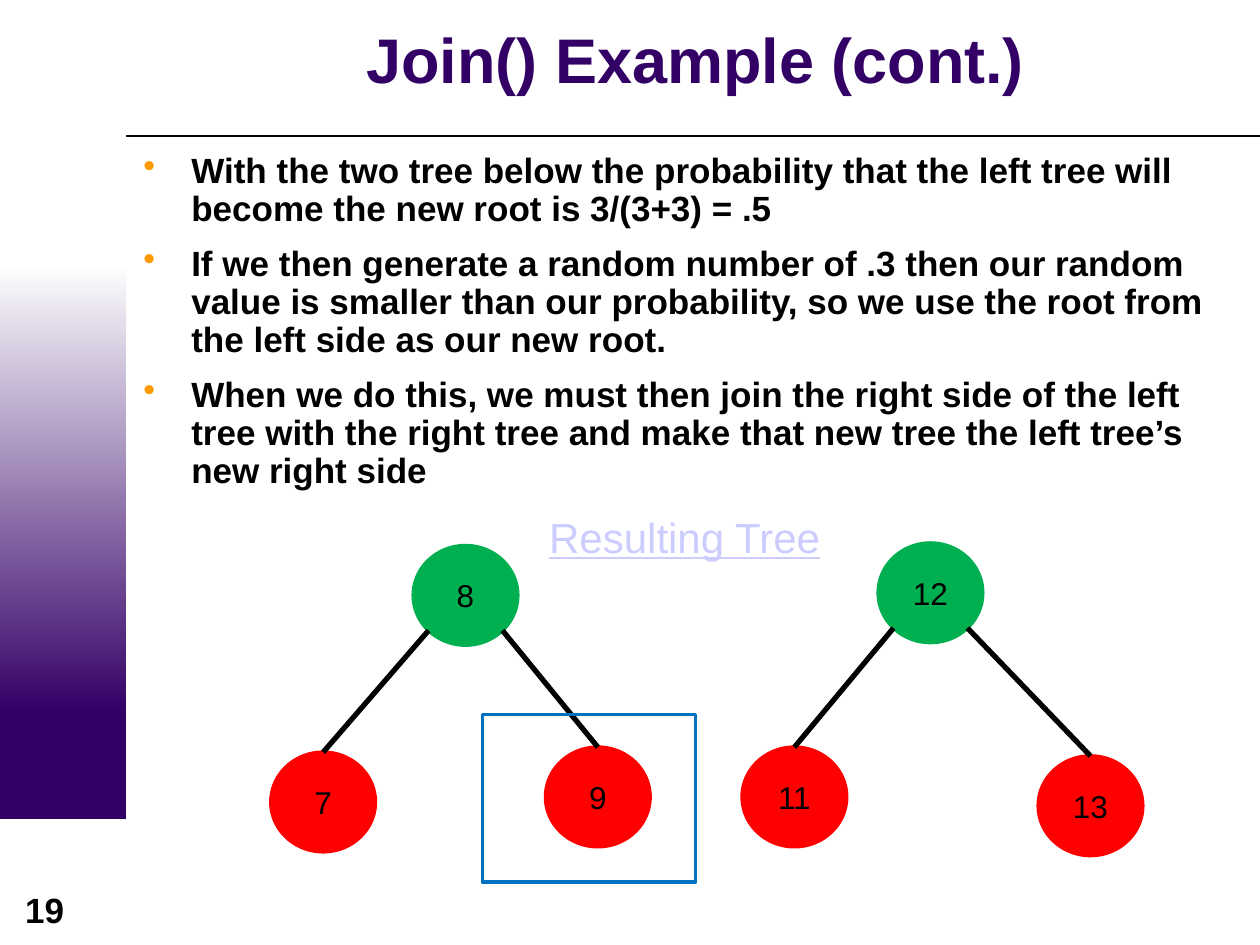
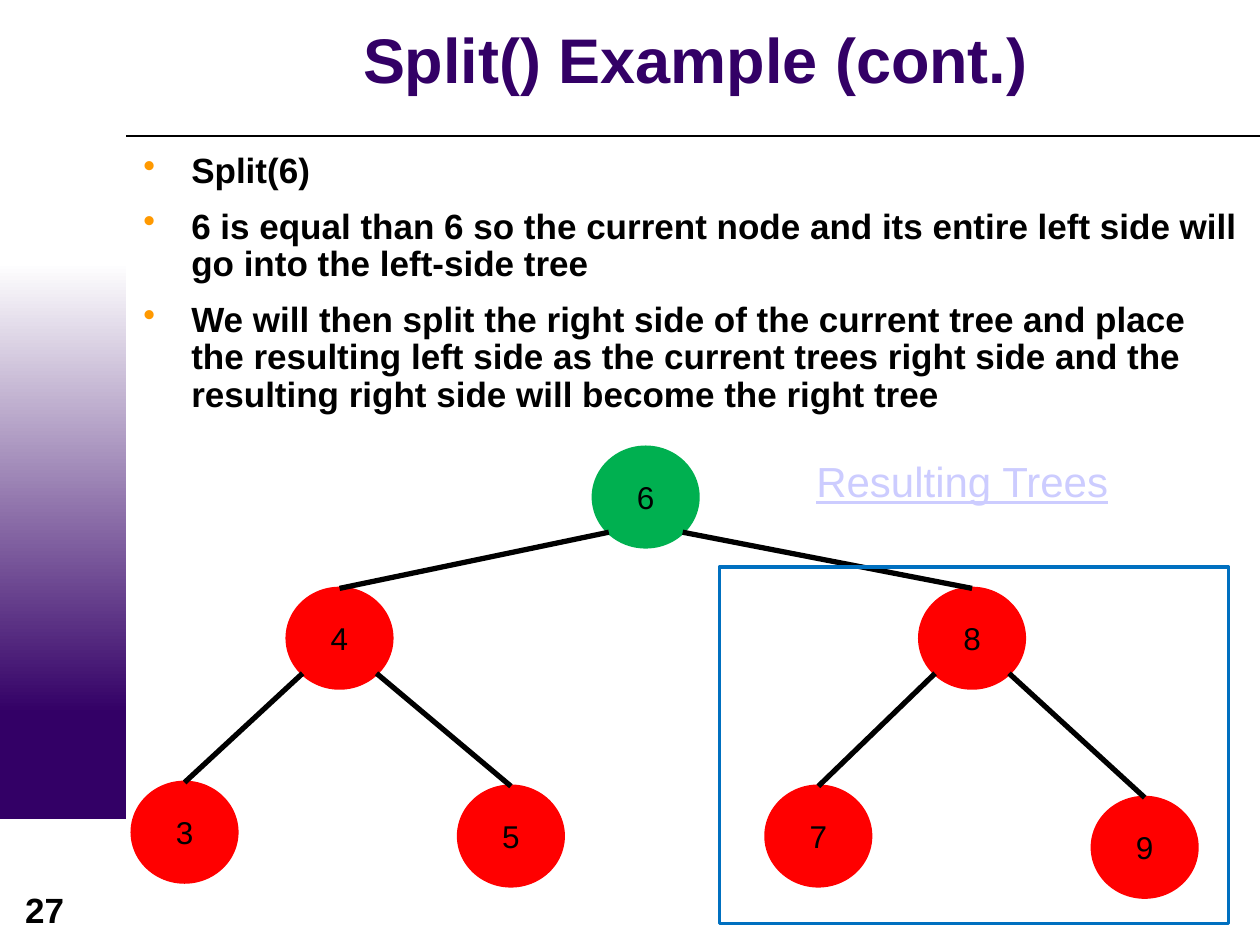
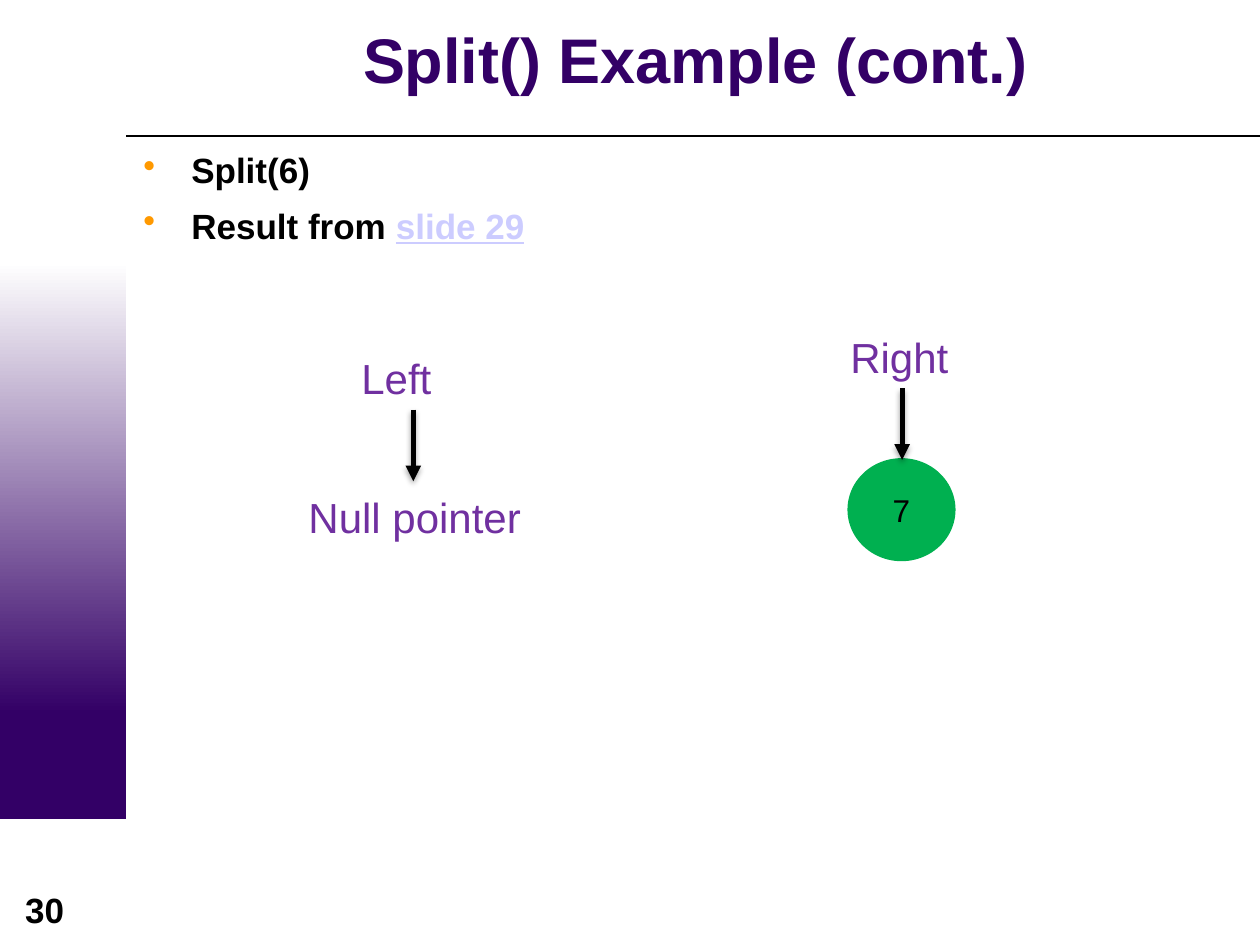
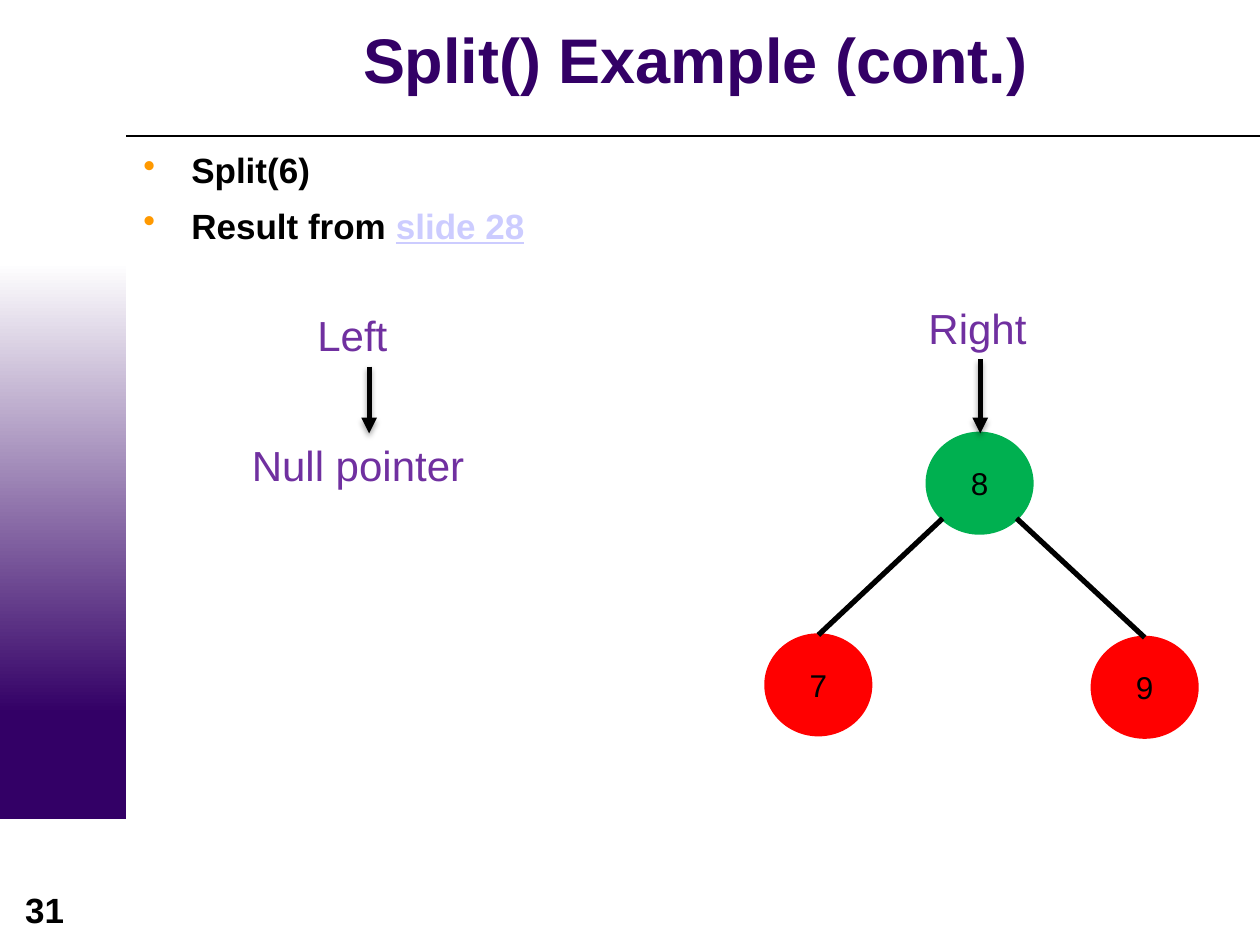
from dataclasses import dataclass
from lxml.etree import SubElement
from pptx import Presentation
from pptx.dml.color import RGBColor as RGB
from pptx.enum.shapes import MSO_CONNECTOR as CONN, MSO_SHAPE as SHAPE
from pptx.enum.text import MSO_ANCHOR as ANCHOR, MSO_AUTO_SIZE as FIT, PP_ALIGN as ALIGN
from pptx.oxml.ns import qn
from pptx.util import Inches, Pt

COLS, ROWS = 10, 7.5
NODE_W, NODE_H = 0.83, 0.79
CORNER = (1 - 0.5 ** 0.5) / 2  # share of a node's box outside its diagonal points
LABEL_W, LABEL_H = 1.02, 0.5


@dataclass(frozen=True)
class Theme:
    font: str = "Arial"
    purple: str = "330066"
    white: str = "FFFFFF"
    ink: str = "000000"
    bullet: str = "FF9900"
    link: str = "CCCCFF"
    label: str = "7030A0"
    root: str = "00B050"
    child: str = "FF0000"
    frame: str = "0070C0"
    title_size: int = 36
    body_size: int = 20
    label_size: int = 24
    node_size: int = 18


def set_all(target, **values):
    for name, value in values.items():
        setattr(target, name, value)


class Deck:
    def __init__(self, theme):
        self.theme = theme
        self.prs = Presentation()
        self.prs.slide_width, self.prs.slide_height = Inches(10), Inches(7.5)
        self.slide = None

    def grid(self, *lengths):
        """Turn alternating column and row counts into slide lengths."""
        cells = self.prs.slide_width / COLS, self.prs.slide_height / ROWS
        return [round(n * cells[i % 2]) for i, n in enumerate(lengths)]

    def run(self, p, text, size, color=None, **fmt):
        r = p.add_run()
        r.text = text
        set_all(r.font, name=self.theme.font, size=Pt(size), **fmt)
        r.font.color.rgb = RGB.from_string(color or self.theme.ink)

    def line(self, start, end, width, arrow=False):
        s = self.slide.shapes.add_connector(CONN.STRAIGHT, *self.grid(*start, *end))
        s.line.width = Pt(width)
        s.line.color.rgb = RGB.from_string(self.theme.ink)
        if arrow:
            SubElement(s.line._get_or_add_ln(), qn("a:tailEnd"), type="triangle")
        effects = SubElement(s._element.spPr, qn("a:effectLst"))
        if arrow:
            shadow = SubElement(effects, qn("a:outerShdw"), blurRad="40000", dist="23000",
                                dir="5400000", rotWithShape="0")
            color = SubElement(shadow, qn("a:srgbClr"), val=self.theme.ink)
            SubElement(color, qn("a:alpha"), val="35000")

    def shape(self, kind, at, fill=None, outline=None):
        s = self.slide.shapes.add_shape(kind, *self.grid(*at))
        s.shadow.inherit = False
        if fill:
            s.fill.solid()
            s.fill.fore_color.rgb = RGB.from_string(fill)
        else:
            s.fill.background()
        if outline:
            s.line.color.rgb = RGB.from_string(outline)
            s.line.width = Pt(2)
        else:
            s.line.fill.background()
        return s

    def frame(self, *at):
        self.shape(SHAPE.RECTANGLE, at, outline=self.theme.frame)

    def text(self, text, at, size, color=None, align=None, **fmt):
        tf = self.slide.shapes.add_textbox(*self.grid(*at)).text_frame
        set_all(tf, word_wrap=True, auto_size=FIT.SHAPE_TO_FIT_TEXT)
        tf.paragraphs[0].alignment = align
        self.run(tf.paragraphs[0], text, size, color, **fmt)

    def label(self, text, left, top, width=LABEL_W, color=None, **fmt):
        self.text(text, (left, top, width, LABEL_H), self.theme.label_size,
                  color or self.theme.label, **fmt)

    def link(self, text, left, top):
        self.label(text, left, top, 2.82, self.theme.link, underline=True)

    def new_slide(self, title, number, bullets):
        self.slide = self.prs.slides.add_slide(self.prs.slide_layouts[5])
        self.side_band()
        self.line((1, 1.08), (COLS, 1.08), 0.75)
        self.text(str(number), (-0.02, 7, 0.75, 0.44), self.theme.body_size,
                  align=ALIGN.CENTER, bold=True)
        self.title(title)
        self.bullets(bullets)

    def side_band(self):
        self.shape(SHAPE.RECTANGLE, (0, 5.5, 1, 1), self.theme.purple)
        fade = self.shape(SHAPE.RECTANGLE, (0, 2.08, 1, 3.58)).fill
        fade.gradient()
        fade.gradient_angle = 270
        for stop, color in zip(fade.gradient_stops, (self.theme.white, self.theme.purple)):
            stop.color.rgb = RGB.from_string(color)

    def title(self, text):
        s = self.slide.shapes.title
        left, top, width, height = self.grid(1.04, 0.03, 8.96, 0.96)
        set_all(s, left=left, top=top, width=width, height=height)
        set_all(s.text_frame, vertical_anchor=ANCHOR.MIDDLE, auto_size=FIT.NONE,
                word_wrap=True, margin_top=0, margin_bottom=0)
        p = s.text_frame.paragraphs[0]
        set_all(p, alignment=ALIGN.CENTER, line_spacing=0.85)
        self.run(p, text, self.theme.title_size, self.theme.purple, bold=True)

    def bullets(self, items):
        """Each item is a text, or a pair of text and underlined reference."""
        tf = self.slide.shapes.add_textbox(*self.grid(1.04, 1.17, 8.96, 6.33)).text_frame
        tf.word_wrap = True
        for i, item in enumerate(items):
            p = tf.add_paragraph() if i else tf.paragraphs[0]
            pPr = p._p.get_or_add_pPr()
            indent = Inches(0.38)
            pPr.set("marL", str(indent))
            pPr.set("indent", str(-indent))
            SubElement(SubElement(pPr, qn("a:buClr")), qn("a:srgbClr"), val=self.theme.bullet)
            SubElement(pPr, qn("a:buChar"), char="•")
            set_all(p, line_spacing=0.9, space_before=Pt(5 if i else 0), space_after=Pt(5))
            text, reference = (item, None) if isinstance(item, str) else item
            self.run(p, text, self.theme.body_size, bold=True)
            if reference:
                self.run(p, reference, self.theme.body_size, self.theme.link,
                         bold=True, underline=True)

    def node(self, value, left, top, fill):
        s = self.shape(SHAPE.FLOWCHART_CONNECTOR, (left, top, NODE_W, NODE_H), fill, fill)
        s.text_frame.vertical_anchor = ANCHOR.MIDDLE
        p = s.text_frame.paragraphs[0]
        p.alignment = ALIGN.CENTER
        self.run(p, str(value), self.theme.node_size)

    def tree(self, places, edges=()):
        """Draw nodes from {value: (left, top)}, the root first, and their edges."""
        for i, (value, place) in enumerate(places.items()):
            self.node(value, *place, self.theme.child if i else self.theme.root)
        for parent, child in edges:
            (px, py), (cx, cy) = places[parent], places[child]
            side = CORNER if cx < px else 1 - CORNER
            self.line((px + side * NODE_W, py + (1 - CORNER) * NODE_H),
                      (cx + NODE_W / 2, cy), 3)

    def pointer(self, text, x, top, end):
        """Centre a label over an arrow that runs down to end."""
        self.label(text, x - LABEL_W / 2, top)
        self.line((x, top + LABEL_H), (x, end), 3, arrow=True)

    def null_pointer(self, left, top):
        self.label("Null pointer", left, top, 2.06)


def main():
    deck = Deck(Theme())
    split_title = "Split() Example (cont.)"

    deck.new_slide("Join() Example (cont.)", 19, [
        "With the two tree below the probability that the left tree will become "
        "the new root is 3/(3+3) = .5",
        "If we then generate a random number of .3 then our random value is smaller "
        "than our probability, so we use the root from the left side as our new root.",
        "When we do this, we must then join the right side of the left tree with the "
        "right tree and make that new tree the left tree’s new right side"])
    deck.tree({8: (3.28, 4.33), 7: (2.15, 5.97), 9: (4.33, 5.93)}, [(8, 7), (8, 9)])
    deck.tree({12: (6.97, 4.31), 11: (5.89, 5.93), 13: (8.24, 6)}, [(12, 11), (12, 13)])
    deck.frame(3.83, 5.67, 1.69, 1.33)
    deck.link("Resulting Tree", 4.26, 4.01)

    deck.new_slide(split_title, 27, [
        "Split(6)",
        "6 is equal than 6 so the current node and its entire left side will go into "
        "the left-side tree",
        "We will then split the right side of the current tree and place the resulting "
        "left side as the current trees right side and the resulting right side will "
        "become the right tree"])
    deck.tree({6: (4.71, 3.55), 4: (2.28, 4.67), 8: (7.3, 4.67), 3: (1.05, 6.21),
               5: (3.64, 6.24), 7: (6.08, 6.24), 9: (8.67, 6.33)},
              [(6, 4), (6, 8), (4, 3), (4, 5), (8, 7), (8, 9)])
    deck.frame(5.71, 4.5, 4.04, 2.83)
    deck.link("Resulting Trees", 6.38, 3.57)

    deck.new_slide(split_title, 30, ["Split(6)", ("Result from ", "slide 29")])
    deck.tree({7: (6.74, 3.65)})
    deck.pointer("Right", 7.16, 2.58, 3.65)
    deck.pointer("Left", 3.28, 2.75, 3.82)
    deck.null_pointer(2.35, 3.85)

    deck.new_slide(split_title, 31, ["Split(6)", ("Result from ", "slide 28")])
    deck.tree({8: (7.36, 3.44), 7: (6.08, 5.04), 9: (8.67, 5.06)}, [(8, 7), (8, 9)])
    deck.pointer("Left", 2.93, 2.41, 3.44)
    deck.null_pointer(1.9, 3.44)
    deck.pointer("Right", 7.78, 2.35, 3.44)

    deck.prs.save("out.pptx")


if __name__ == "__main__":
    main()
